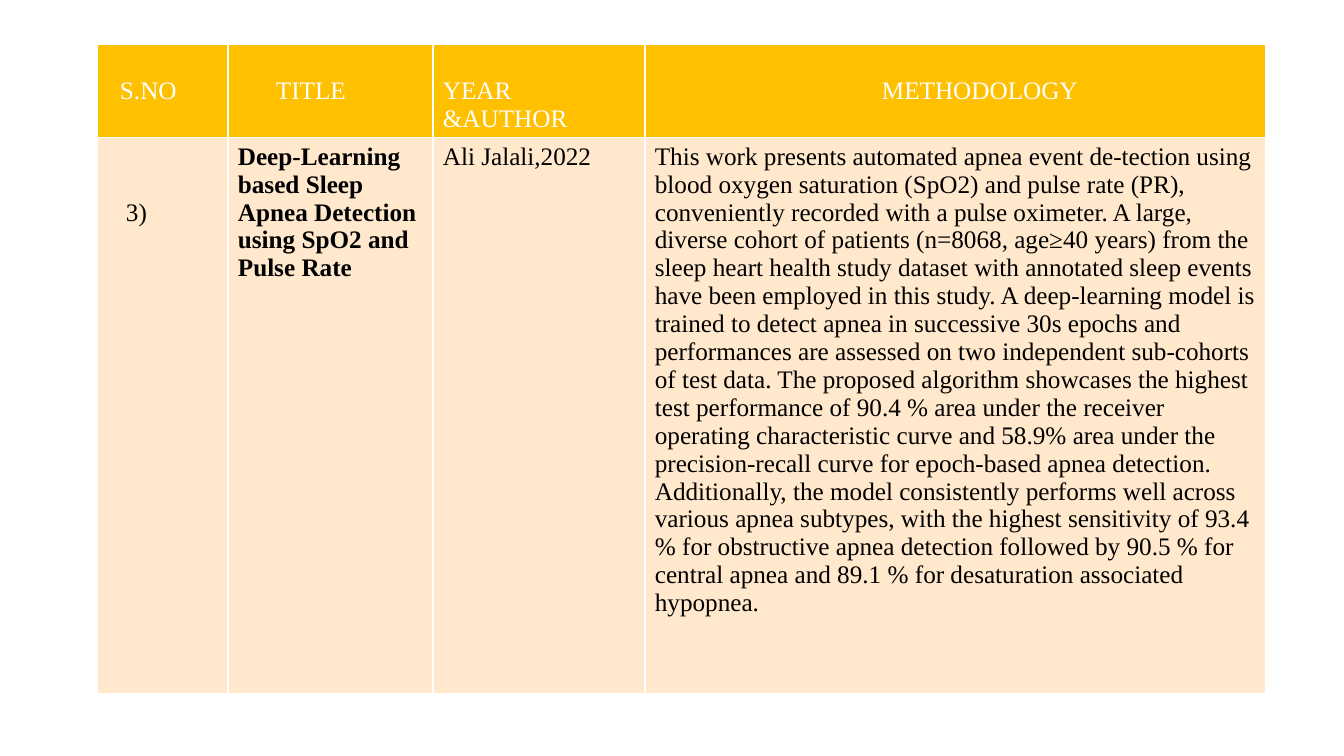
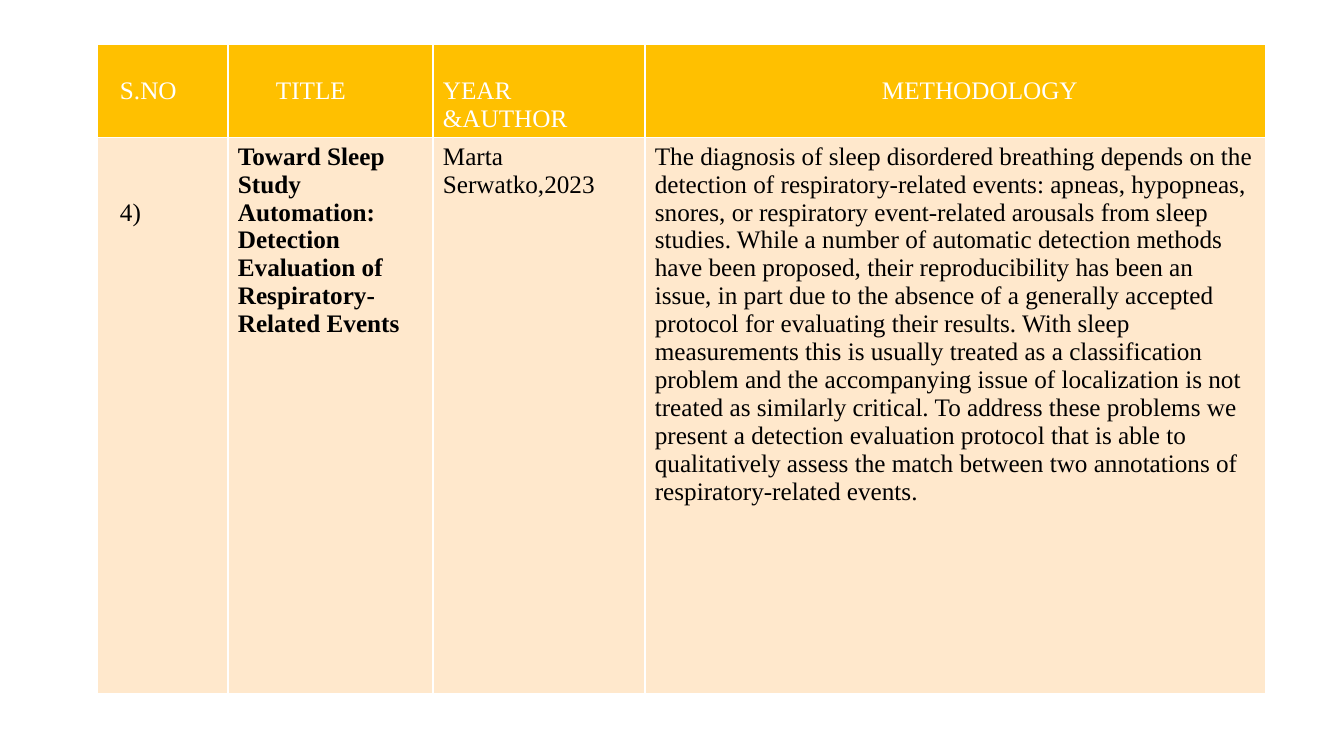
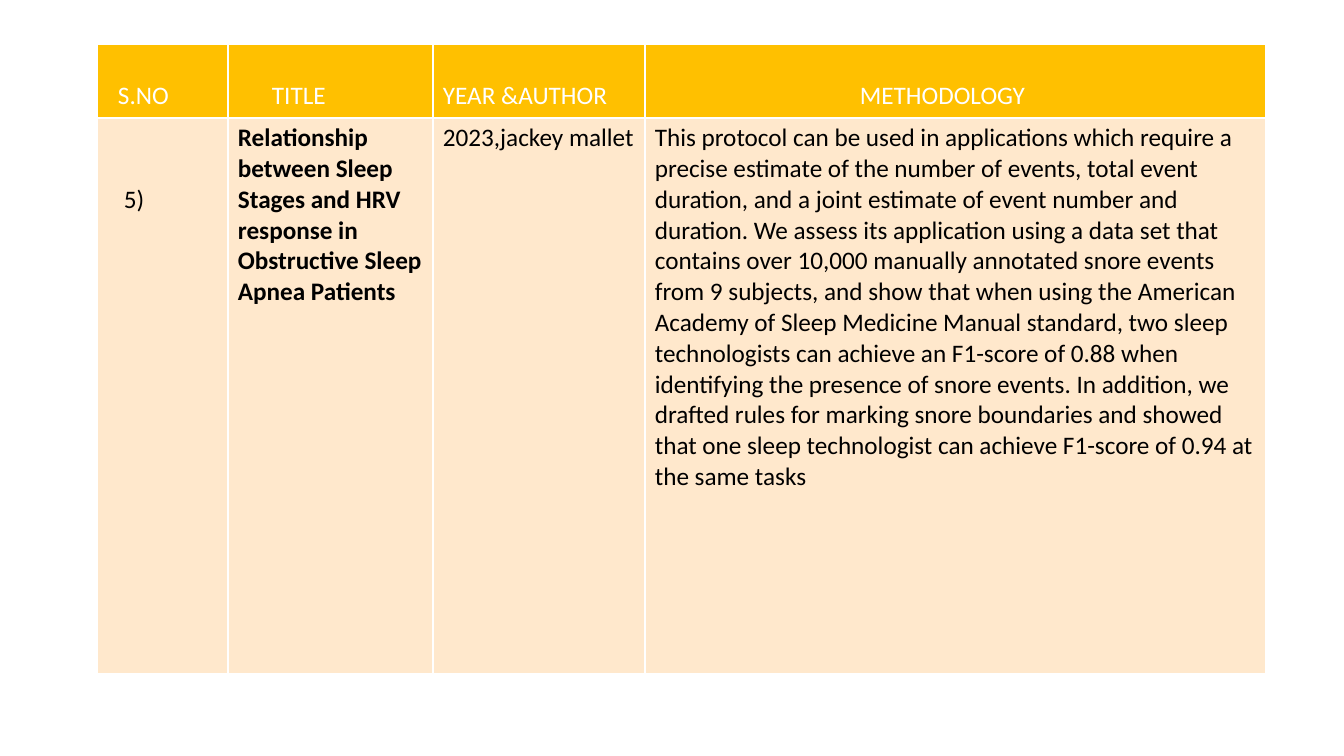
from pptx import Presentation
from pptx.dml.color import RGBColor
from pptx.oxml.ns import qn
from pptx.util import Pt
from lxml import etree

PX = 914400 / 100.8
HUES = {"head": "FFC000", "body": "FFE8CC", "rule": "FFFFFF",
        "light": "FFFFFF", "dark": "000000"}
PAGE = (1344, 756)
SPOT = (97, 44)
COLS = (131, 205, 212, 621)
BODY = 556
PAD_X, PAD_Y = 10, 5
HEADS = ("S.NO", "TITLE", "YEAR &AUTHOR", "METHODOLOGY")

# line: text line height, head: header row height, dents: header indents
TIMES = {"name": "Times New Roman", "line": 28, "head": 93,
         "dents": (13, 38, 0, 227)}
CALIBRI = {"name": "Calibri", "line": 31, "head": 74,
           "dents": (11, 34, 0, 205)}

# font, indent of the number, number, title, author, sentences of the method
PAPERS = (
    (TIMES, 19, "3)",
     "Deep-Learning based Sleep Apnea Detection using SpO2 and Pulse Rate",
     "Ali Jalali,2022", (
         "This work presents automated apnea event de-tection using blood "
         "oxygen saturation (SpO2) and pulse rate (PR), conveniently recorded "
         "with a pulse oximeter.",
         "A large, diverse cohort of patients (n=8068, age≥40 years) from the "
         "sleep heart health study dataset with annotated sleep events have "
         "been employed in this study.",
         "A deep-learning model is trained to detect apnea in successive "
         "30s epochs and performances are assessed on two independent "
         "sub-cohorts of test data.",
         "The proposed algorithm showcases the highest test performance of "
         "90.4 % area under the receiver operating characteristic curve and "
         "58.9% area under the precision-recall curve for epoch-based apnea "
         "detection.",
         "Additionally, the model consistently performs well across various "
         "apnea subtypes, with the highest sensitivity of 93.4 % for "
         "obstructive apnea detection followed by 90.5 % for central apnea "
         "and 89.1 % for desaturation associated hypopnea.")),
    (TIMES, 13, "4)",
     "Toward Sleep Study Automation: Detection Evaluation of "
     "Respiratory-Related Events",
     "Marta Serwatko,2023", (
         "The diagnosis of sleep disordered breathing depends on the "
         "detection of respiratory-related events: apneas, hypopneas, "
         "snores, or respiratory event-related arousals from sleep studies.",
         "While a number of automatic detection methods have been proposed, "
         "their reproducibility has been an issue, in part due to the "
         "absence of a generally accepted protocol for evaluating their "
         "results.",
         "With sleep measurements this is usually treated as a "
         "classification problem and the accompanying issue of localization "
         "is not treated as similarly critical.",
         "To address these problems we present a detection evaluation "
         "protocol that is able to qualitatively assess the match between "
         "two annotations of respiratory-related events.")),
    (CALIBRI, 17, "5)",
     "Relationship between Sleep Stages and HRV response in Obstructive "
     "Sleep Apnea Patients",
     "2023,jackey mallet", (
         "This protocol can be used in applications which require a precise "
         "estimate of the number of events, total event duration, and a "
         "joint estimate of event number and duration.",
         "We assess its application using a data set that contains over "
         "10,000 manually annotated snore events from 9 subjects, and show "
         "that when using the American Academy of Sleep Medicine Manual "
         "standard, two sleep technologists can achieve an F1-score of 0.88 "
         "when identifying the presence of snore events.",
         "In addition, we drafted rules for marking snore boundaries and "
         "showed that one sleep technologist can achieve F1-score of 0.94 "
         "at the same tasks")),
)


def px(size):
    return round(size * PX)


def tint(hue):
    return RGBColor.from_string(HUES[hue])


def write(cell, text, face, hue, bold=False, dent=0, drop=0):
    """Put text in a cell, moved right by dent and down by drop."""
    cell.margin_left = px(PAD_X + dent)
    cell.margin_right = px(PAD_X)
    cell.margin_top = px(PAD_Y + drop)
    cell.margin_bottom = px(PAD_Y)
    run = cell.text_frame.paragraphs[0].add_run()
    run.text = text
    run.font.name = face
    run.font.size = Pt(18)
    run.font.bold = bold
    run.font.color.rgb = tint(hue)


def paint(cell, hue):
    """Fill a cell and rule its four sides."""
    cell.fill.solid()
    cell.fill.fore_color.rgb = tint(hue)
    props = cell._tc.get_or_add_tcPr()
    for spot, side in enumerate("LRTB"):
        line = etree.Element(qn("a:ln" + side), w=str(Pt(1)))
        fill = etree.SubElement(line, qn("a:solidFill"))
        etree.SubElement(fill, qn("a:srgbClr"), val=HUES["rule"])
        props.insert(spot, line)


def survey(slide, left, top, font, dent, texts):
    """Draw the table that reviews one paper."""
    rows = (font["head"], BODY)
    grid = slide.shapes.add_table(
        len(rows), len(COLS), px(left), px(top),
        px(sum(COLS)), px(sum(rows))).table
    grid.horz_banding = False
    for row, high in zip(grid.rows, rows):
        row.height = px(high)
    face, line = font["name"], font["line"]
    for col, wide in enumerate(COLS):
        grid.columns[col].width = px(wide)
        head, body = grid.cell(0, col), grid.cell(1, col)
        paint(head, "head")
        paint(body, "body")
        write(head, HEADS[col], face, "light",
              dent=font["dents"][col], drop=line)
        first = col == 0
        write(body, texts[col], face, "dark", bold=col == 1,
              dent=dent if first else 0, drop=2 * line if first else 0)


def main():
    deck = Presentation()
    deck.slide_width, deck.slide_height = map(px, PAGE)
    for font, dent, number, title, author, method in PAPERS:
        slide = deck.slides.add_slide(deck.slide_layouts[6])
        texts = (number, title, author, " ".join(method))
        survey(slide, *SPOT, font, dent, texts)
    deck.save("out.pptx")


if __name__ == "__main__":
    main()
